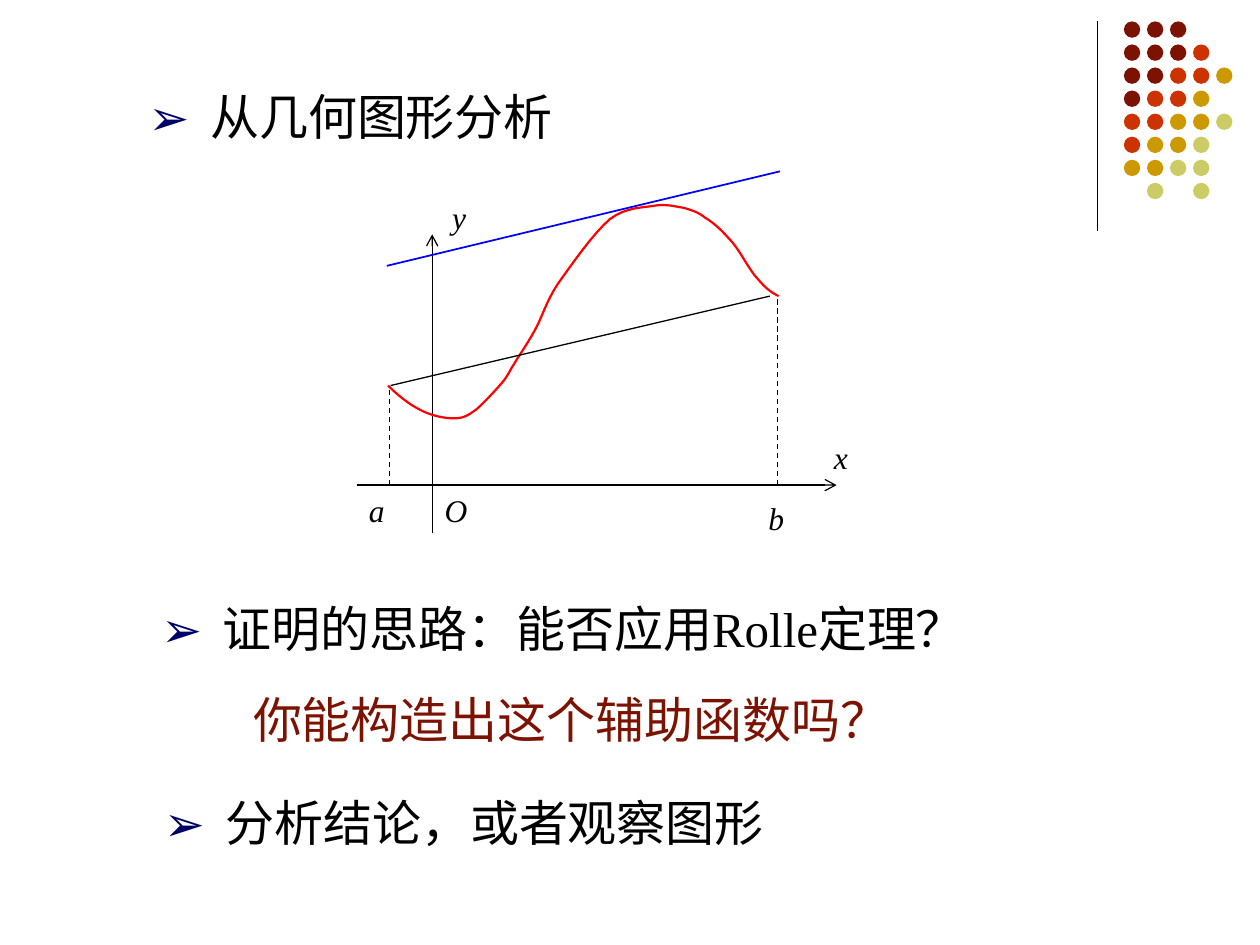
from dataclasses import dataclass
from typing import NamedTuple

from lxml.etree import SubElement
from pptx import Presentation
from pptx.dml.color import RGBColor
from pptx.enum.dml import MSO_LINE
from pptx.enum.shapes import MSO_CONNECTOR, MSO_SHAPE
from pptx.enum.text import MSO_AUTO_SIZE
from pptx.oxml.ns import qn
from pptx.util import Inches, Pt


@dataclass(frozen=True)
class Theme:
    ink: str = "000000"
    bullet: str = "000066"
    maroon: str = "7C1302"
    orange: str = "CC3300"
    gold: str = "CC9900"
    olive: str = "CCCC66"
    curve: str = "FF0000"
    tangent: str = "0000FF"
    sans: str = "Arial"
    serif: str = "Times New Roman"
    body_size: int = 28
    label_size: int = 18
    thin: float = 0.75


THEME = Theme()


class Point(NamedTuple):
    x: float
    y: float


class Run(NamedTuple):
    text: str
    color: str = THEME.ink
    font: str = THEME.sans
    size: int = THEME.body_size
    italic: bool = False


class TextBlock(NamedTuple):
    left: float
    top: float
    width: float
    height: float
    runs: list[Run]
    inset: float = 0.1


class Segment(NamedTuple):
    start: Point
    end: Point
    color: str = THEME.ink
    weight: float = THEME.thin
    dashed: bool = False
    arrow: bool = False


BULLET = Run("➢\t", THEME.bullet)
BULLET_TAB = 0.49

STATEMENTS = [
    TextBlock(1.18, 4.7, 8.19, 0.57, [
        BULLET, Run("证明的思路：能否应用"), Run("Rolle定理？", font=THEME.serif)]),
    TextBlock(1.08, 0.64, 6.02, 0.57, [BULLET, Run("从几何图形分析")]),
    TextBlock(1.91, 5.42, 5.61, 0.57, [Run("你能构造出这个辅助函数吗？", THEME.maroon)]),
    TextBlock(0.76, 6.24, 5.84, 0.57, [
        BULLET, Run("分析结论，或者观察图形", font=THEME.serif)], inset=0.54),
]

AXIS_Y = 3.85
AXES_AND_DROPS = [
    Segment(Point(3.43, 4.23), Point(3.43, 1.86), arrow=True),
    Segment(Point(2.83, AXIS_Y), Point(6.64, AXIS_Y), arrow=True),
    Segment(Point(3.09, AXIS_Y), Point(3.09, 3.09), dashed=True),
    Segment(Point(6.17, AXIS_Y), Point(6.17, 2.35), dashed=True),
]
CHORD = Segment(Point(3.1, 3.06), Point(6.11, 2.35))
TANGENT = Segment(Point(3.07, 2.11), Point(6.19, 1.36), THEME.tangent, 1)

AXIS_LABELS = {
    "a": Point(2.83, 3.85), "b": Point(6, 3.91), "O": Point(3.43, 3.85),
    "x": Point(6.52, 3.43), "y": Point(3.49, 1.52),
}

# Start point, then two control points and an end point for each Bézier piece.
CURVE = [Point(*pair) for pair in (
    (3.08, 3.06),
    (3.16, 3.14), (3.25, 3.21), (3.33, 3.25),
    (3.42, 3.3), (3.53, 3.32), (3.6, 3.32),
    (3.68, 3.32), (3.71, 3.3), (3.78, 3.25),
    (3.84, 3.2), (3.95, 3.08), (4, 3.02),
    (4.05, 2.95), (4.04, 2.95), (4.08, 2.89),
    (4.12, 2.82), (4.18, 2.74), (4.24, 2.63),
    (4.3, 2.53), (4.33, 2.4), (4.43, 2.25),
    (4.53, 2.11), (4.71, 1.85), (4.84, 1.74),
    (4.97, 1.64), (5.11, 1.65), (5.21, 1.63),
    (5.3, 1.62), (5.36, 1.64), (5.43, 1.65),
    (5.49, 1.67), (5.54, 1.68), (5.6, 1.73),
    (5.67, 1.77), (5.74, 1.84), (5.81, 1.92),
    (5.88, 2), (5.95, 2.15), (6.02, 2.22),
    (6.08, 2.29), (6.12, 2.32), (6.18, 2.35),
)]

DOT_ROWS = ["MMM", "MMMO", "MMOOG", "MOOG", "OOGGL", "OGGL", "GGLL", " L L"]
DOT_COLORS = {"M": THEME.maroon, "O": THEME.orange, "G": THEME.gold, "L": THEME.olive}
DOT_ORIGIN = Point(8.92, 0.17)
DOT_PITCH = 0.183
DOT_SIZE = 0.13


def rgb(color: str) -> RGBColor:
    return RGBColor.from_string(color)


def draw_segment(shapes, segment: Segment) -> None:
    ends = [Inches(v) for v in (*segment.start, *segment.end)]
    connector = shapes.add_connector(MSO_CONNECTOR.STRAIGHT, *ends)
    connector.line.color.rgb = rgb(segment.color)
    connector.line.width = Pt(segment.weight)
    if segment.dashed:
        connector.line.dash_style = MSO_LINE.DASH
    if segment.arrow:
        SubElement(connector.line._get_or_add_ln(), qn("a:tailEnd"), type="arrow")
    SubElement(connector._element.spPr, qn("a:effectLst"))


def draw_text(shapes, block: TextBlock) -> None:
    box = shapes.add_textbox(*(Inches(v) for v in block[:4]))
    frame = box.text_frame
    frame.word_wrap = True
    frame.auto_size = MSO_AUTO_SIZE.SHAPE_TO_FIT_TEXT
    frame.margin_left = Inches(block.inset)
    paragraph = frame.paragraphs[0]
    if BULLET in block.runs:
        tabs = SubElement(paragraph._p.get_or_add_pPr(), qn("a:tabLst"))
        SubElement(tabs, qn("a:tab"), pos=str(Inches(BULLET_TAB)), algn="l")
    for part in block.runs:
        run = paragraph.add_run()
        run.text = part.text
        run.font.name = part.font
        run.font.size = Pt(part.size)
        run.font.italic = part.italic
        run.font.color.rgb = rgb(part.color)


def bezier(p0: Point, p1: Point, p2: Point, p3: Point, t: float) -> Point:
    weights = ((1 - t) ** 3, 3 * t * (1 - t) ** 2, 3 * t * t * (1 - t), t ** 3)
    return Point(*(sum(w * v for w, v in zip(weights, axis))
                   for axis in zip(p0, p1, p2, p3)))


def draw_curve(shapes, knots: list[Point], steps: int = 8) -> None:
    """Trace the Bézier pieces with short straight steps."""
    points = [bezier(*knots[i:i + 4], step / steps)
              for i in range(0, len(knots) - 1, 3) for step in range(1, steps + 1)]
    builder = shapes.build_freeform(Inches(knots[0].x), Inches(knots[0].y))
    builder.add_line_segments([(Inches(p.x), Inches(p.y)) for p in points], close=False)
    curve = builder.convert_to_shape()
    curve.shadow.inherit = False
    curve.fill.background()
    curve.line.color.rgb = rgb(THEME.curve)
    curve.line.width = Pt(1.25)


def draw_dots(shapes) -> None:
    for row, codes in enumerate(DOT_ROWS):
        for column, code in enumerate(codes):
            if code not in DOT_COLORS:
                continue
            dot = shapes.add_shape(
                MSO_SHAPE.OVAL,
                Inches(DOT_ORIGIN.x + column * DOT_PITCH),
                Inches(DOT_ORIGIN.y + row * DOT_PITCH),
                Inches(DOT_SIZE), Inches(DOT_SIZE))
            dot.shadow.inherit = False
            dot.fill.solid()
            dot.fill.fore_color.rgb = rgb(DOT_COLORS[code])
            dot.line.fill.background()


def draw_graph(shapes) -> None:
    for segment in AXES_AND_DROPS:
        draw_segment(shapes, segment)
    for letter, corner in AXIS_LABELS.items():
        label = Run(letter, font=THEME.serif, size=THEME.label_size, italic=True)
        draw_text(shapes, TextBlock(*corner, 0.43, 0.4, [label]))
    draw_curve(shapes, CURVE)
    draw_segment(shapes, CHORD)


def main() -> None:
    deck = Presentation()
    deck.slide_width, deck.slide_height = Inches(10), Inches(7.5)
    shapes = deck.slides.add_slide(deck.slide_layouts[6]).shapes
    draw_segment(shapes, Segment(Point(8.71, 0.17), Point(8.71, 1.83)))
    draw_dots(shapes.add_group_shape().shapes)
    for block in STATEMENTS:
        draw_text(shapes, block)
    draw_graph(shapes.add_group_shape().shapes)
    draw_segment(shapes, TANGENT)
    deck.save("out.pptx")


if __name__ == "__main__":
    main()
